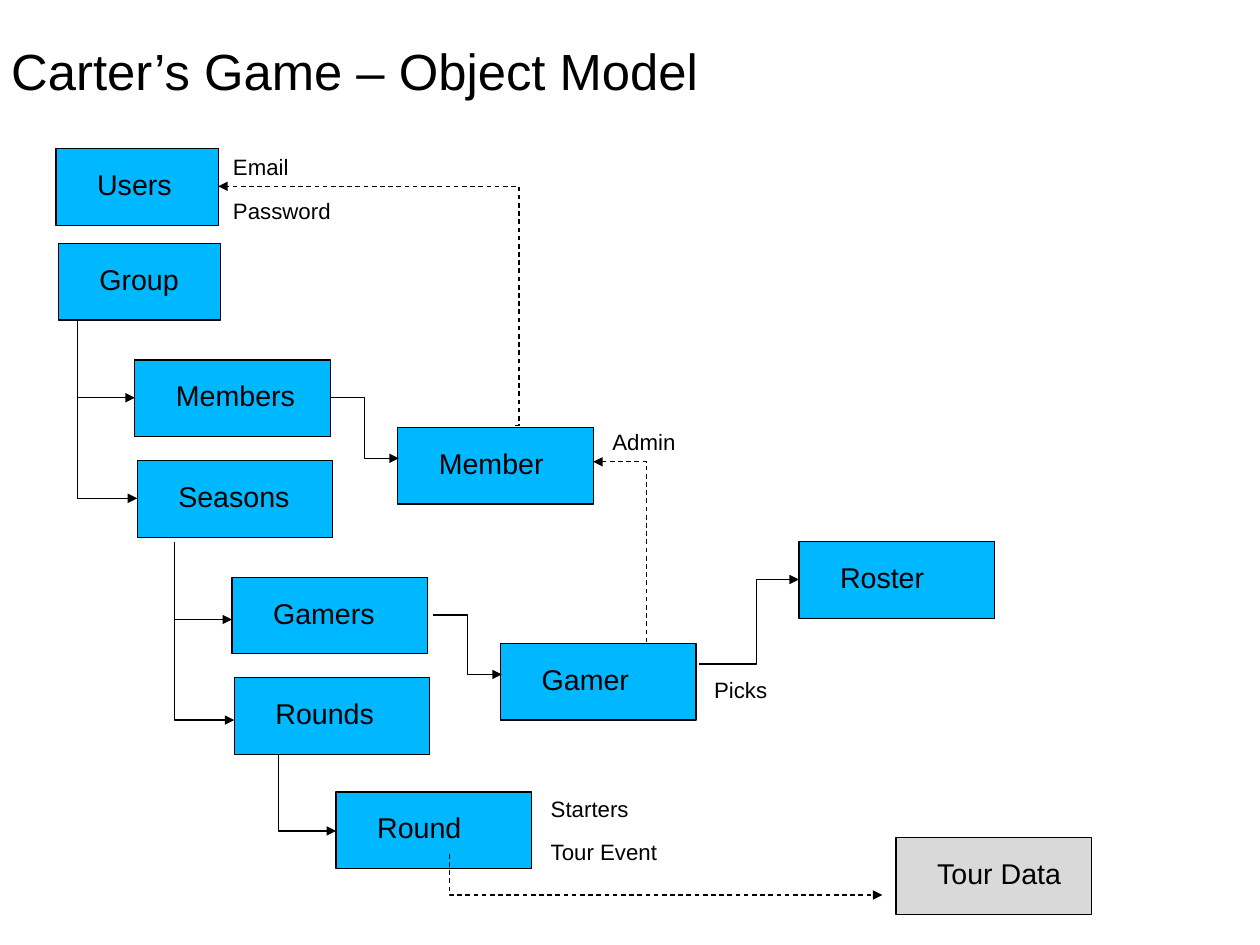
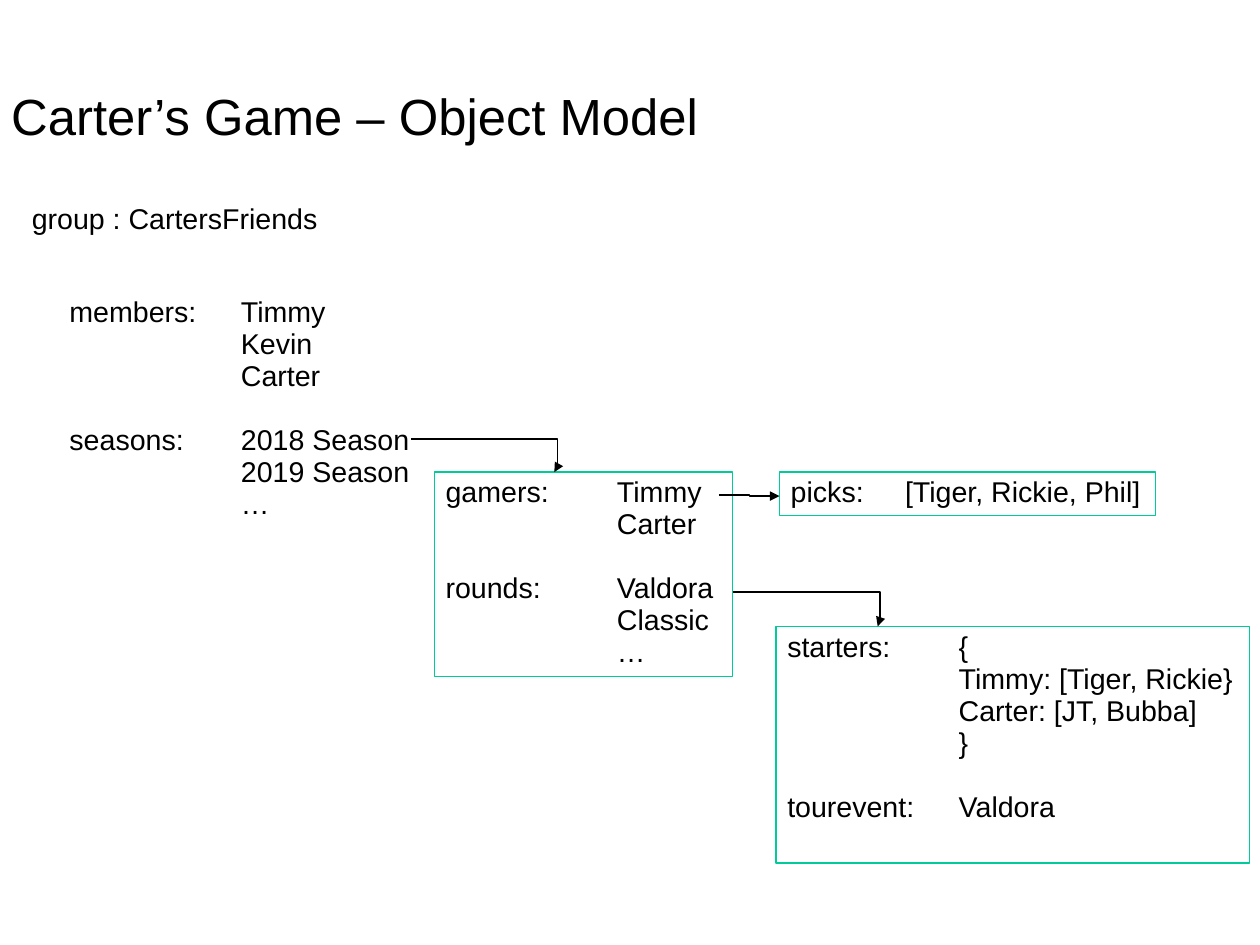
from dataclasses import dataclass

from lxml.etree import SubElement
from pptx import Presentation
from pptx.dml.color import RGBColor
from pptx.enum.dml import MSO_LINE
from pptx.enum.shapes import MSO_CONNECTOR, MSO_SHAPE
from pptx.enum.text import MSO_ANCHOR, PP_ALIGN
from pptx.oxml.ns import qn
from pptx.util import Emu, Pt

EMU_PER_PX = 9144
SLIDE_WIDTH = Emu(10080625)
SLIDE_HEIGHT = Emu(7559675)


def px(length):
    return round(length * EMU_PER_PX)


@dataclass(frozen=True)
class Theme:
    font: str = "Arial"
    ink: str = "000000"
    node: str = "00B8FF"
    external: str = "D9D9D9"
    frame: str = "00CC99"
    title: int = 32
    body: int = 18
    note: int = 14
    leading: float = 1.12
    stroke: float = 0.75


@dataclass(frozen=True)
class Box:
    left: int
    top: int
    width: int
    height: int

    @property
    def right(self):
        return self.left + self.width

    @property
    def bottom(self):
        return self.top + self.height

    @property
    def middle(self):
        return self.top + self.height // 2

    def emu(self):
        return [px(v) for v in (self.left, self.top, self.width, self.height)]


THEME = Theme()
TITLE = "Carter’s Game – Object Model"
GROUP_SIZE = (142, 67)
NODE_SIZE = (171, 67)


def rgb(value):
    return RGBColor.from_string(value)


def write(frame, text, size=THEME.body, insets=(10, 4, 0, 5),
          anchor=MSO_ANCHOR.TOP, wrap=True, tab=None, gaps=()):
    frame.word_wrap = wrap
    frame.vertical_anchor = anchor
    (frame.margin_left, frame.margin_top,
     frame.margin_right, frame.margin_bottom) = map(px, insets)
    leading = Pt(size * THEME.leading)
    for index, line in enumerate(text.split("\n")):
        paragraph = frame.add_paragraph() if index else frame.paragraphs[0]
        paragraph.alignment = PP_ALIGN.LEFT
        paragraph.line_spacing = leading
        if index in gaps:
            paragraph.space_before = leading
        if tab:
            stops = SubElement(paragraph._p.get_or_add_pPr(), qn("a:tabLst"))
            SubElement(stops, qn("a:tab"), pos=str(px(tab)), algn="l")
        run = paragraph.add_run()
        run.text = line
        run.font.name = THEME.font
        run.font.size = Pt(size)
        run.font.color.rgb = rgb(THEME.ink)


def title(slide, box):
    write(slide.shapes.add_textbox(*box.emu()).text_frame, TITLE,
          size=THEME.title, insets=(10, 3, 0, 0), anchor=MSO_ANCHOR.MIDDLE)


def node(slide, box, name, fill=THEME.node):
    rect = slide.shapes.add_shape(MSO_SHAPE.RECTANGLE, *box.emu())
    rect.shadow.inherit = False
    rect.fill.solid()
    rect.fill.fore_color.rgb = rgb(fill)
    rect.line.color.rgb = rgb(THEME.ink)
    rect.line.width = Pt(THEME.stroke)
    write(rect.text_frame, name, insets=(36, 5, 0, 8), anchor=MSO_ANCHOR.MIDDLE)


def note(slide, box, text):
    write(slide.shapes.add_textbox(*box.emu()).text_frame, text,
          size=THEME.note, wrap=False, insets=(10, 4, 10, 5))


def record(slide, box, rows, tab=150, gaps=(), framed=True):
    entry = slide.shapes.add_textbox(*box.emu())
    if framed:
        entry.line.color.rgb = rgb(THEME.frame)
        entry.line.width = Pt(THEME.stroke)
    lines = "\n".join("\t".join(row) for row in rows)
    write(entry.text_frame, lines, tab=tab, gaps=gaps)


def arrow(slide, start, end, turn, dashed=False):
    link = slide.shapes.add_connector(
        MSO_CONNECTOR.ELBOW, *map(px, (*start, *end)))
    link.line.color.rgb = rgb(THEME.ink)
    link.line.width = Pt(THEME.stroke)
    if dashed:
        link.line.dash_style = MSO_LINE.DASH
    properties = link._element.spPr
    SubElement(properties.find(qn("a:ln")), qn("a:tailEnd"), type="triangle")
    SubElement(properties, qn("a:effectLst"))
    share = round((turn - start[0]) / (end[0] - start[0]) * 100000)
    SubElement(properties.find(".//" + qn("a:avLst")), qn("a:gd"),
               name="adj1", fmla=f"val {share}")
    transform = properties.find(qn("a:xfrm"))
    if start[0] > end[0] and start[1] > end[1]:
        del transform.attrib["flipH"], transform.attrib["flipV"]
        transform.set("rot", "10800000")


def branch(slide, parent, child, indent, drop=0):
    trunk = parent.left + indent
    arrow(slide, (trunk, parent.bottom + drop),
          (child.left, child.middle + drop), trunk)


def item_link(slide, collection, item, gap=0):
    start, end = collection.right + gap, item.left + 1
    arrow(slide, (start, collection.middle), (end, item.middle - 6),
          (start + end) / 2)


def model_slide(slide):
    title(slide, Box(0, -6, 1102, 136))
    users = Box(49, 130, *GROUP_SIZE)
    group = Box(51, 213, *GROUP_SIZE)
    members = Box(118, 315, *NODE_SIZE)
    seasons = Box(120, 403, *NODE_SIZE)
    member = Box(348, 374, *NODE_SIZE)
    gamers = Box(203, 505, *NODE_SIZE)
    rounds = Box(205, 593, *NODE_SIZE)
    gamer = Box(438, 563, *NODE_SIZE)
    single_round = Box(294, 693, *NODE_SIZE)
    roster = Box(699, 474, *NODE_SIZE)
    for box, name in (
        (users, "Users"), (group, "Group"), (members, "Members"),
        (seasons, "Seasons"), (member, "Member"), (gamers, "Gamers"),
        (rounds, "Rounds"), (gamer, "Gamer"), (single_round, "Round"),
        (roster, "Roster"),
    ):
        node(slide, box, name)
    node(slide, Box(784, 733, *NODE_SIZE), "Tour Data", fill=THEME.external)

    for box, text in (
        (Box(194, 132, 69, 32), "Email"),
        (Box(194, 170, 106, 32), "Password"),
        (Box(526, 372, 76, 32), "Admin"),
        (Box(615, 589, 67, 32), "Picks"),
        (Box(472, 693, 89, 32), "Starters"),
        (Box(472, 731, 114, 32), "Tour Event"),
    ):
        note(slide, box, text)

    for parent, child, indent, drop in (
        (group, members, 17, 0), (group, seasons, 17, 0),
        (seasons, gamers, 33, 4), (seasons, rounds, 33, 4),
        (rounds, single_round, 39, 1),
    ):
        branch(slide, parent, child, indent, drop)
    item_link(slide, members, member)
    item_link(slide, gamers, gamer, gap=5)
    arrow(slide, (612, 581), (roster.left, roster.middle), 662)
    arrow(slide, (451, 372), (users.right, users.middle), 454, dashed=True)
    arrow(slide, (566, 562), (member.right, 404), 566, dashed=True)
    arrow(slide, (393, 747), (772, 783), 393, dashed=True)


def example_slide(slide):
    title(slide, Box(0, 33, 1102, 136))
    record(slide, Box(18, 174, 273, 38), [["group : CartersFriends"]],
           framed=False)
    record(slide, Box(51, 255, 320, 207), [
        ("members:", "Timmy"), ("", "Kevin"), ("", "Carter"),
        ("seasons:", "2018 Season"), ("", "2019 Season"), ("", "…"),
    ], gaps=(3,), framed=False)
    season = Box(380, 413, 261, 179)
    record(slide, season, [
        ("gamers:", "Timmy"), ("", "Carter"),
        ("rounds:", "Valdora"), ("", "Classic"), ("", "…"),
    ], gaps=(2,))
    lineup = Box(679, 548, 414, 207)
    record(slide, lineup, [
        ("starters:", "{"), ("", "Timmy: [Tiger, Rickie}"),
        ("", "Carter: [JT, Bubba]"), ("", "}"), ("tourevent:", "Valdora"),
    ], gaps=(4,))
    picks = Box(682, 413, 329, 38)
    record(slide, picks, [("picks:", "[Tiger, Rickie, Phil]")], tab=100)
    arrow(slide, (360, 384), (485, season.top), 488)
    arrow(slide, (629, 433), (picks.left, 434), 656)
    arrow(slide, (season.right, 518), (768, lineup.top), 770)


def main():
    deck = Presentation()
    deck.slide_width, deck.slide_height = SLIDE_WIDTH, SLIDE_HEIGHT
    for build in (model_slide, example_slide):
        build(deck.slides.add_slide(deck.slide_layouts[6]))
    deck.save("out.pptx")


if __name__ == "__main__":
    main()
